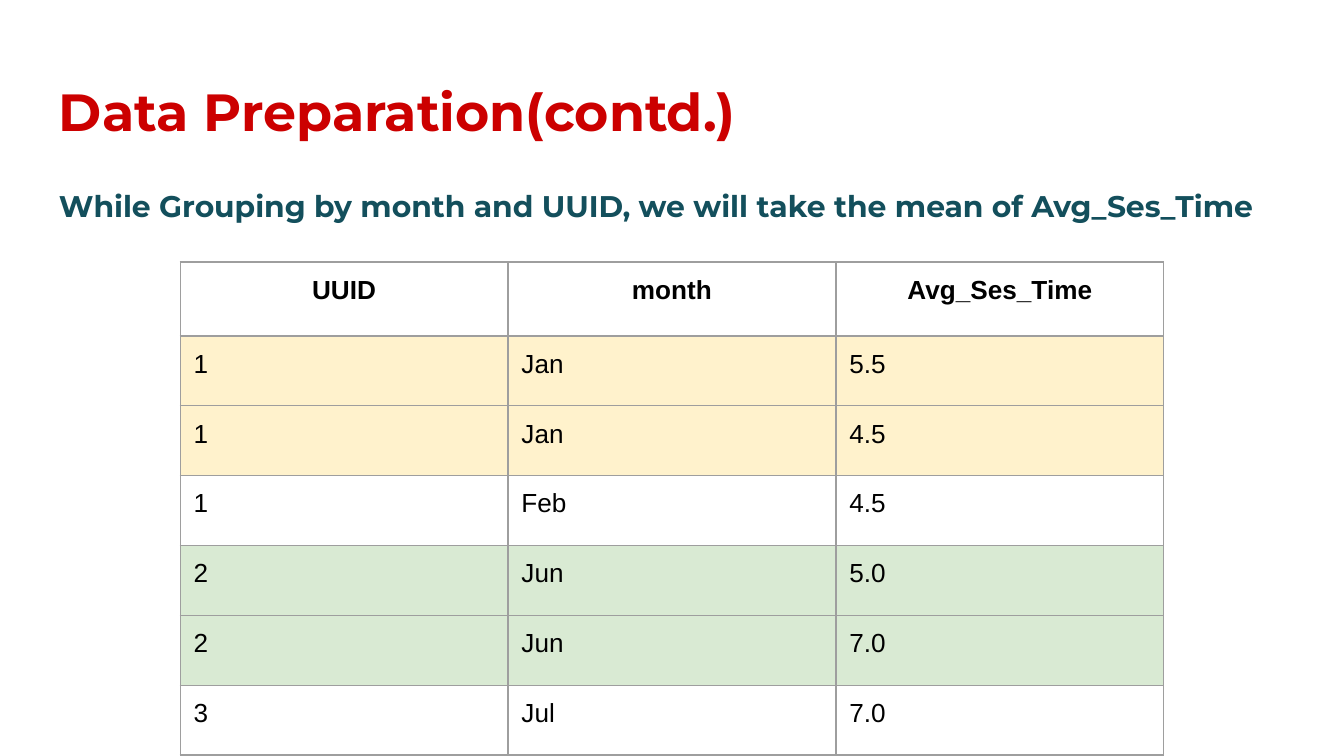
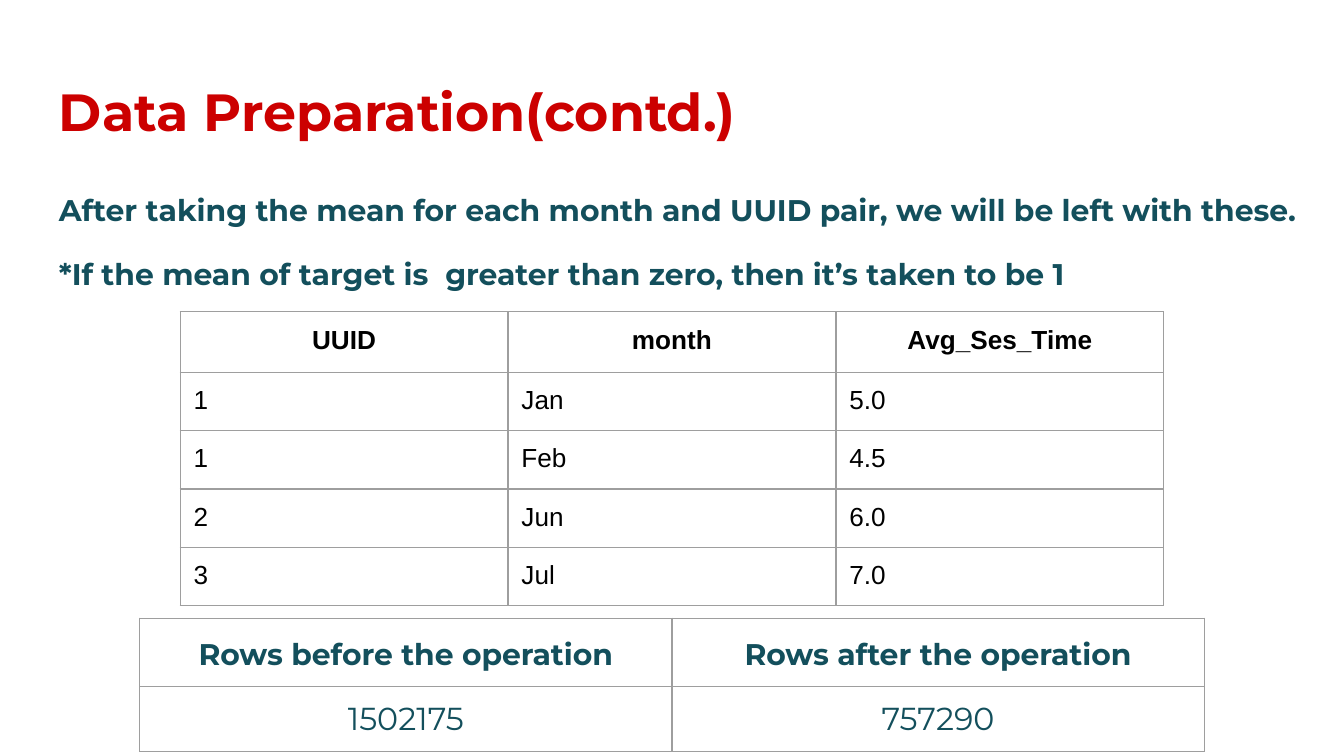
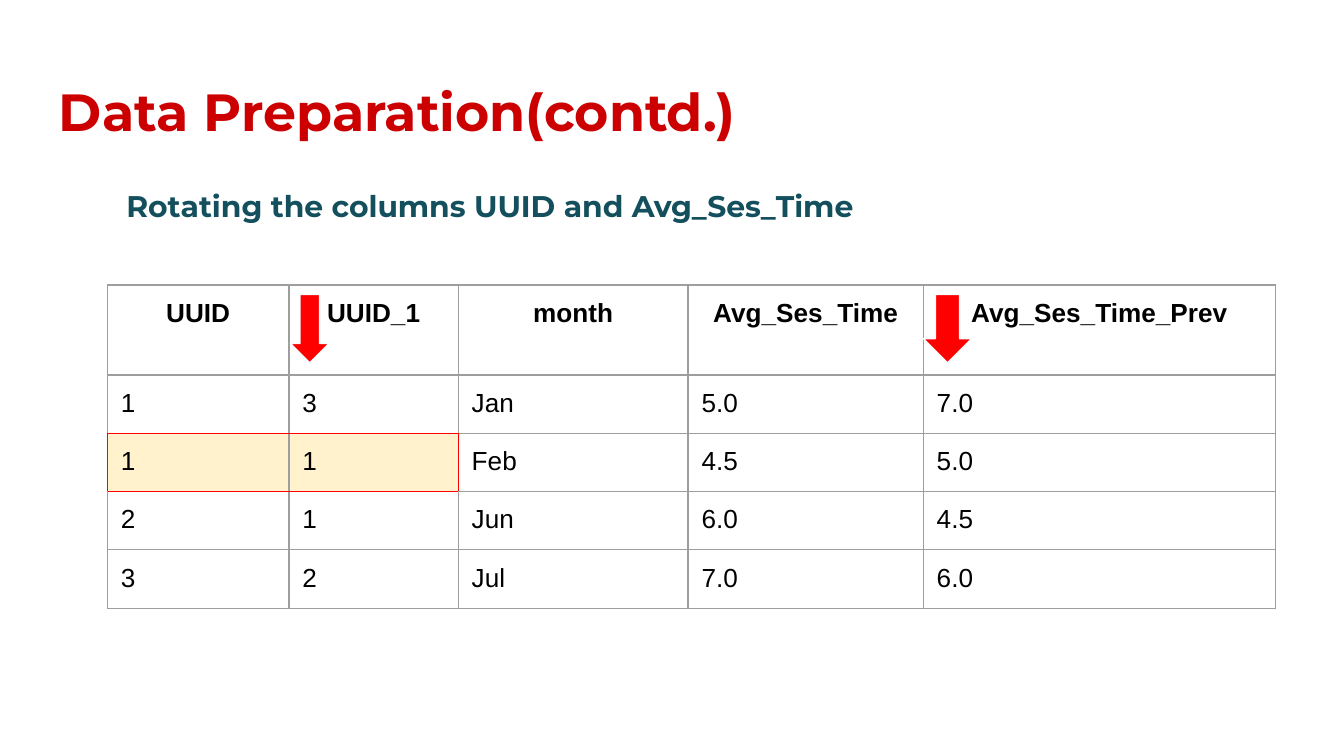
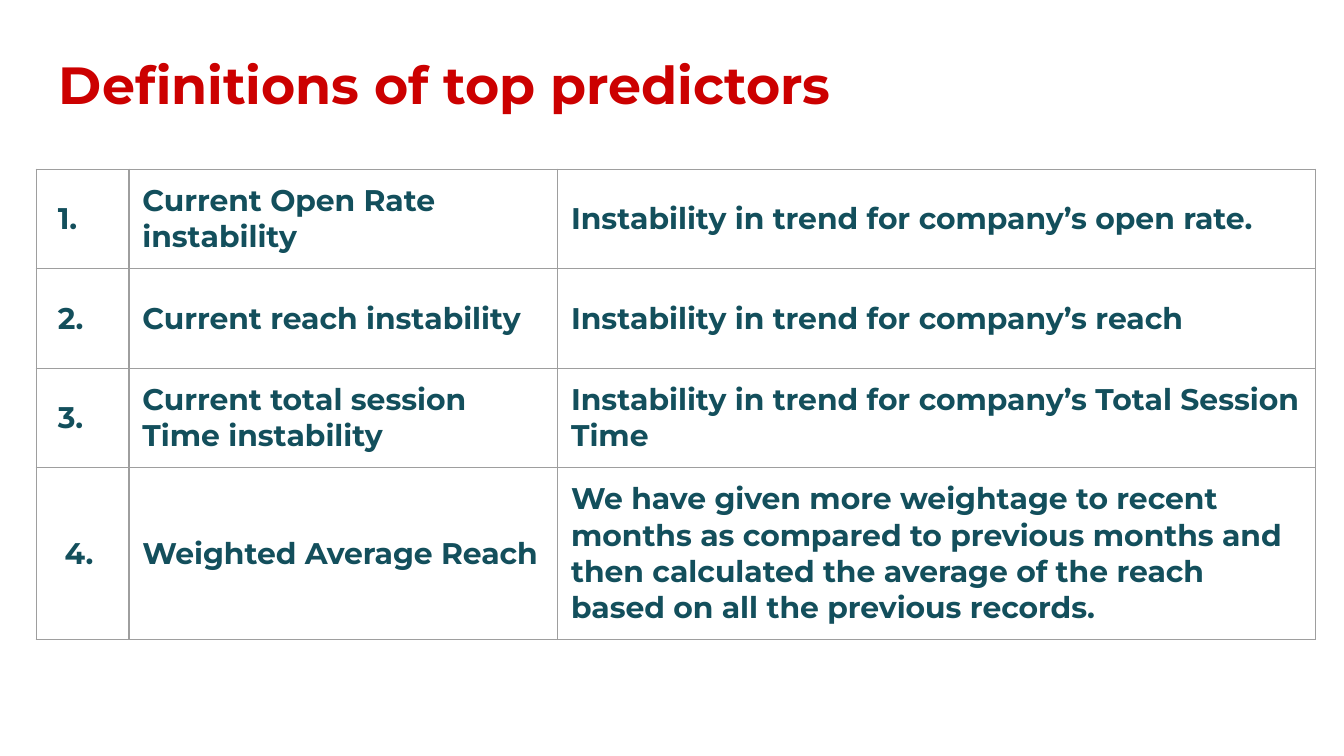
from dataclasses import dataclass
from lxml.etree import SubElement
from pptx import Presentation
from pptx.dml.color import RGBColor as RGB
from pptx.enum.shapes import MSO_SHAPE as Shape
from pptx.enum.text import MSO_ANCHOR as Anchor, PP_ALIGN as Align
from pptx.oxml.ns import qn
from pptx.util import Inches as In, Pt


@dataclass(frozen=True)
class Theme:
    width: float = 10
    height: float = 10 * 9 / 16
    margin: float = 0.34
    inset: float = 0.1
    heading_font: str = "Montserrat"
    data_font: str = "Arial"
    red: str = "CC0000"
    teal: str = "134F5C"
    black: str = "000000"
    grid: str = "9E9E9E"
    signal: str = "FF0000"
    arrow_edge: str = "F5FDFF"
    yellow: str = "FFF2CC"
    green: str = "D9EAD3"
    title_size: int = 28
    body_size: int = 16
    count_size: int = 17
    data_size: int = 14
    rule: float = 0.75


T = Theme()

# Text styles: (font formats, paragraph formats)
BODY_FONT = dict(name=T.heading_font, size=Pt(T.body_size), bold=True, color=T.teal)
DATA_FONT = dict(name=T.data_font, size=Pt(T.data_size), bold=False, color=T.black)
CENTER = dict(alignment=Align.CENTER)
STYLES = {
    "title": (BODY_FONT | dict(size=Pt(T.title_size), color=T.red), {}),
    "body": (BODY_FONT, dict(line_spacing=1.15, space_before=Pt(6), space_after=Pt(12))),
    "lead": (BODY_FONT, dict(line_spacing=1.15, space_before=Pt(6))),
    "note": (BODY_FONT, dict(line_spacing=1.15, space_before=Pt(12))),
    "header": (DATA_FONT | dict(bold=True), CENTER),
    "data": (DATA_FONT, {}),
    "count_header": (BODY_FONT, CENTER | dict(line_spacing=1.15)),
    "count": (BODY_FONT | dict(size=Pt(T.count_size), bold=False), CENTER),
    "definition": (BODY_FONT, {}),
}

# Content
PREP = "Data Preparation(contd.)"
SLIDES = [
    dict(
        title=PREP,
        texts=[("body", "While Grouping by month and UUID, we will take the mean of Avg_Ses_Time")],
        tables=[dict(
            at=(1.34, 1.95), cols=[2.44] * 3, heights=[0.55] + [0.52] * 6,
            rows=[("UUID", "month", "Avg_Ses_Time"),
                  ("1", "Jan", "5.5"), ("1", "Jan", "4.5"), ("1", "Feb", "4.5"),
                  ("2", "Jun", "5.0"), ("2", "Jun", "7.0"), ("3", "Jul", "7.0")],
            row_fills={1: T.yellow, 2: T.yellow, 4: T.green, 5: T.green})],
    ),
    dict(
        title=PREP, text_top=1.29, text_width=9.66, text_height=1.43,
        texts=[("lead", "After taking the mean for each month and UUID pair, we will be left with these."),
               ("note", "*If the mean of target is  greater than zero, then it’s taken to be 1")],
        tables=[
            dict(at=(1.34, 2.32), cols=[2.44] * 3, heights=[0.45] + [0.42] * 4,
                 rows=[("UUID", "month", "Avg_Ses_Time"),
                       ("1", "Jan", "5.0"), ("1", "Feb", "4.5"),
                       ("2", "Jun", "6.0"), ("3", "Jul", "7.0")]),
            dict(at=(1.04, 4.6), cols=[3.96] * 2, heights=[0.42] * 2,
                 styles=("count_header", "count"),
                 rows=[("Rows before the operation", "Rows after the operation"),
                       ("1502175", "757290")])],
    ),
    dict(
        title=PREP, text_indent=0.5,
        texts=[("body", "Rotating the columns UUID and Avg_Ses_Time")],
        tables=[dict(
            at=(0.8, 2.12), cols=[1.35, 1.26, 1.71, 1.75, 2.62], heights=[0.67] + [0.43] * 4,
            rows=[("UUID", "UUID_1", "month", "Avg_Ses_Time", "Avg_Ses_Time_Prev"),
                  ("1", "3", "Jan", "5.0", "7.0"), ("1", "1", "Feb", "4.5", "5.0"),
                  ("2", "1", "Jun", "6.0", "4.5"), ("3", "2", "Jul", "7.0", "6.0")],
            marked={(2, 0), (2, 1)},
            arrows=[(1, 0.01, 0.29), (4, 0, 0.36)])],  # column, gap, width
    ),
    dict(
        title="Definitions of top predictors", title_top=0.29,
        tables=[dict(
            at=(0.27, 1.26), cols=[0.69, 3.19, 5.64], heights=[0.74] * 3 + [1.28],
            styles=("definition", "definition"), anchor=Anchor.MIDDLE,
            number_indents=[0.06] * 3 + [0.11],
            rows=[("1.", "Current Open Rate instability",
                   "Instability in trend for company’s open rate."),
                  ("2.", "Current reach instability",
                   "Instability in trend for company’s reach"),
                  ("3.", "Current total session Time instability",
                   "Instability in trend for company’s Total Session Time"),
                  ("4.", "Weighted Average Reach",
                   "We have given more weightage to recent months as compared to previous "
                   "months and then calculated the average of the reach based on all the "
                   "previous records.")])],
    ),
]


def assign(obj, values):
    for name, value in values.items():
        setattr(obj, name, value)


def insets(indent=0):
    margins = {f"margin_{side}": In(T.inset) for side in ("right", "top", "bottom")}
    return margins | dict(margin_left=In(T.inset + indent))


def write(p, text, style):
    font, para = STYLES[style]
    assign(p, para)
    r = p.add_run()
    r.text = text
    assign(r.font, {k: v for k, v in font.items() if k != "color"})
    r.font.color.rgb = RGB.from_string(font["color"])


def add_text(s, box, items, indent=0):
    tf = s.shapes.add_textbox(*map(In, box)).text_frame
    assign(tf, insets(indent) | dict(word_wrap=True))
    for i, (style, text) in enumerate(items):
        write(tf.add_paragraph() if i else tf.paragraphs[0], text, style)


def set_borders(cell, row, col, marked):
    """Colour an edge as a signal where it parts a marked cell from an unmarked one."""
    neighbours = dict(lnL=(row, col - 1), lnR=(row, col + 1),
                      lnT=(row - 1, col), lnB=(row + 1, col))
    tc_pr = cell._tc.get_or_add_tcPr()
    for tag, other in neighbours.items():
        edge = ((row, col) in marked) != (other in marked)
        ln = SubElement(tc_pr, qn(f"a:{tag}"), w=str(Pt(T.rule)))
        fill = SubElement(ln, qn("a:solidFill"))
        SubElement(fill, qn("a:srgbClr"), val=T.signal if edge else T.grid)


def add_table(s, at, cols, heights, rows, styles=("header", "data"), anchor=Anchor.TOP,
              row_fills={}, marked=frozenset(), number_indents=(), arrows=()):
    left, top = at
    box = (left, top, sum(cols), sum(heights))
    table = s.shapes.add_table(len(rows), len(cols), *map(In, box)).table
    assign(table, dict(first_row=False, horz_banding=False))
    for column, width in zip(table.columns, cols):
        column.width = In(width)
    for i, row in enumerate(rows):
        table.rows[i].height = In(heights[i])
        for j, text in enumerate(row):
            cell = table.cell(i, j)
            indent = number_indents[i] if number_indents and j == 0 else 0
            assign(cell, insets(indent) | dict(vertical_anchor=anchor))
            write(cell.text_frame.paragraphs[0], text, styles[min(i, 1)])
            set_borders(cell, i, j, marked)
            color = T.yellow if (i, j) in marked else row_fills.get(i)
            if color:
                cell.fill.solid()
                cell.fill.fore_color.rgb = RGB.from_string(color)
            else:
                cell.fill.background()
    for col, gap, width in arrows:
        add_arrow(s, left + sum(cols[:col]) + gap, top + 0.07, width)


def add_arrow(s, left, top, width, height=0.51):
    sp = s.shapes.add_shape(Shape.DOWN_ARROW, *map(In, (left, top, width, height)))
    sp.shadow.inherit = False
    sp.fill.solid()
    sp.fill.fore_color.rgb = RGB.from_string(T.signal)
    sp.line.color.rgb = RGB.from_string(T.arrow_edge)
    sp.line.width = Pt(T.rule)


def add_slide(prs, title, texts=(), tables=(), title_top=0.49, text_top=1.26,
              text_width=T.width - 2 * T.margin, text_height=3.74, text_indent=0):
    s = prs.slides.add_slide(prs.slide_layouts[6])
    add_text(s, (T.margin, title_top, T.width - 2 * T.margin, 0.63), [("title", title)])
    if texts:
        add_text(s, (T.margin, text_top, text_width, text_height), texts, text_indent)
    for table in tables:
        add_table(s, **table)


def main():
    prs = Presentation()
    assign(prs, dict(slide_width=In(T.width), slide_height=In(T.height)))
    for slide in SLIDES:
        add_slide(prs, **slide)
    prs.save("out.pptx")


if __name__ == "__main__":
    main()
